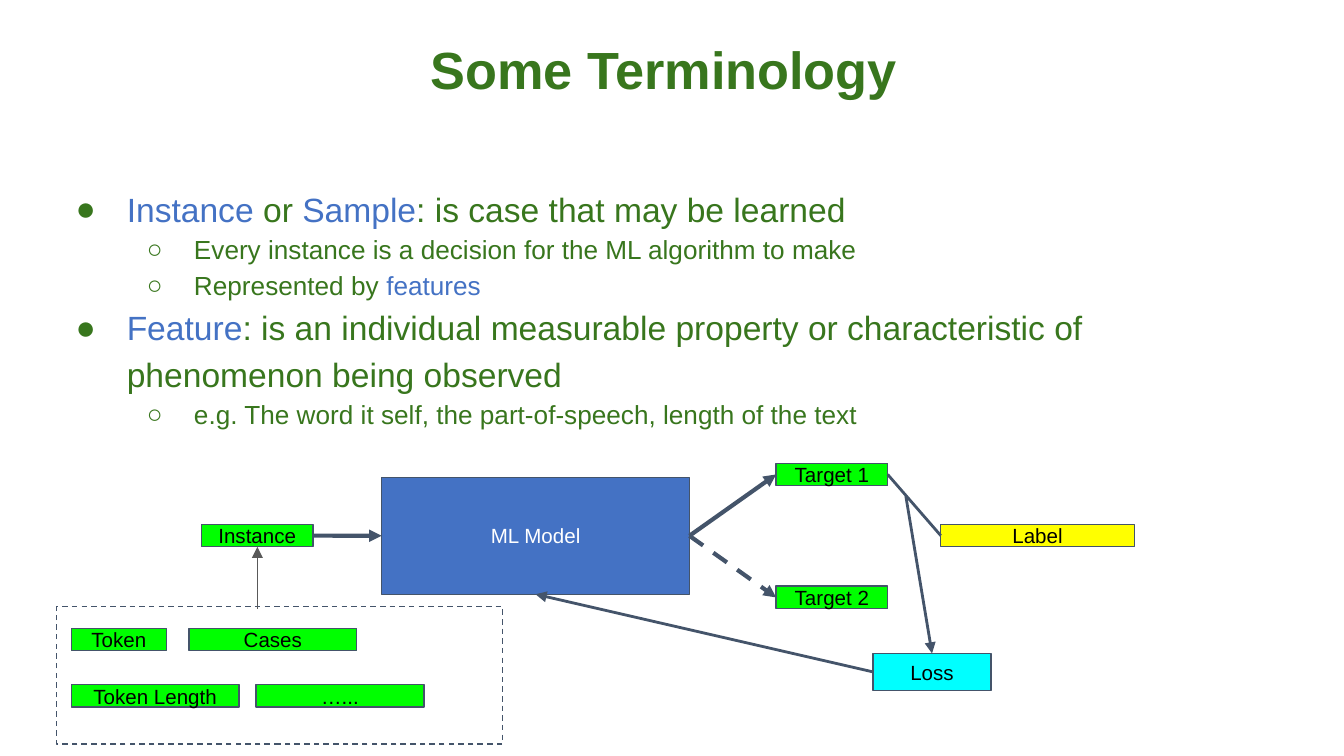
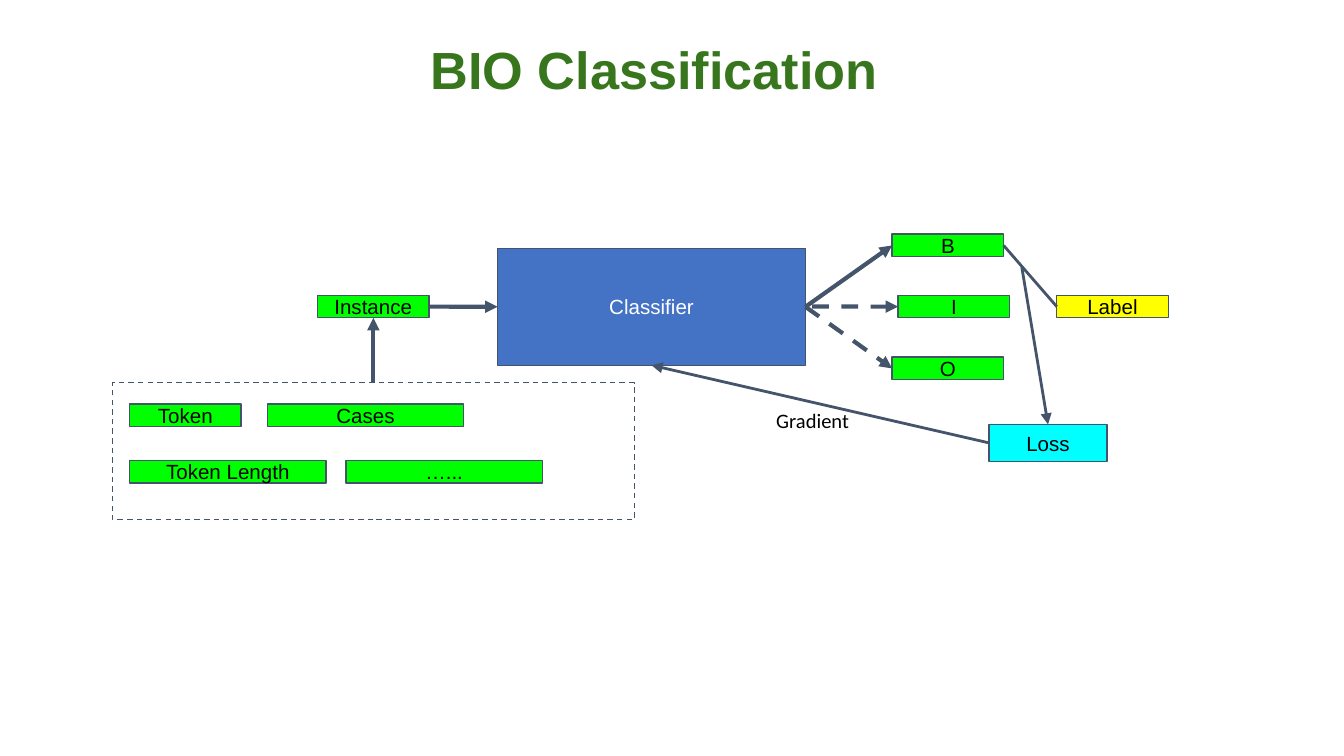
import lxml.etree
import pptx
import pptx.dml.color
import pptx.enum.dml
import pptx.enum.shapes
import pptx.enum.text
import pptx.oxml.ns
import pptx.util

COLORS = {
    "heading": "38761D", "term": "4472C4", "model": "4472C4", "edge": "44546A",
    "feature": "00FF00", "label": "FFFF00", "loss": "00FFFF",
    "arrow": "595959", "dark": "000000", "light": "FFFFFF",
}
COLUMNS = 100
BAR = 1.67
BULLETS = [("●", 18, 0.5, -0.38), ("○", 14, 1, -0.35)]
TERMS = [
    (0, [("Instance", "term"), (" or ", "heading"), ("Sample", "term"),
         (": is case that may be learned", "heading")]),
    (1, [("Every instance is a decision for the ML algorithm to make", "heading")]),
    (1, [("Represented by ", "heading"), ("features", "term")]),
    (0, [("Feature", "term"),
         (": is an individual measurable property or characteristic of "
          "phenomenon being observed", "heading")]),
    (1, [("e.g. The word it self, the part-of-speech, length of the text", "heading")]),
]
FEATURES = [("Token", 1.1, 1.6, 7.1), ("Cases", 9.85, 1.6, 12.5),
            ("Token Length", 1.1, 5.8, 12.5), ("…...", 14.85, 5.8, 12.5)]


def rgb(name):
    """Return the named colour."""
    return pptx.dml.color.RGBColor.from_string(COLORS[name])


class Deck:
    """Hold the shared style and draw on the current slide in grid cells."""

    def __init__(self):
        """Start an empty widescreen deck."""
        self.prs = pptx.Presentation()
        self.prs.slide_width = pptx.util.Inches(10)
        self.prs.slide_height = self.prs.slide_width * 9 // 16
        self.cell = self.prs.slide_width / COLUMNS
        self.origin = (0, 0)

    def spot(self, column, row):
        """Turn a grid place, counted from the origin, into lengths."""
        return (round((self.origin[0] + column) * self.cell),
                round((self.origin[1] + row) * self.cell))

    def size(self, *cells):
        """Turn numbers of cells into lengths."""
        return [round(count * self.cell) for count in cells]

    def style(self, run, size, color, font="Arial", bold=False):
        """Format one run."""
        run.font.name, run.font.size, run.font.bold = font, pptx.util.Pt(size), bold
        run.font.color.rgb = rgb(color)

    def frame(self, shape, inset, anchor):
        """Set the insets, wrapping and anchor of a shape's text."""
        text = shape.text_frame
        text.word_wrap = True
        text.auto_size = pptx.enum.text.MSO_AUTO_SIZE.NONE
        text.vertical_anchor = anchor
        text.margin_left = text.margin_right = pptx.util.Inches(inset)
        text.margin_top = text.margin_bottom = pptx.util.Inches(inset)
        return text

    def slide(self, heading):
        """Add a slide with its title."""
        current = self.prs.slides.add_slide(self.prs.slide_layouts[5])
        self.shapes, self.origin = current.shapes, (0, 0)
        title = self.shapes.title
        title.left, title.top = self.spot(31.05, 1.75)
        title.width, title.height = self.size(65.5, 6.3)
        text = self.frame(title, 0.1, pptx.enum.text.MSO_ANCHOR.TOP)
        text.text = heading
        text.paragraphs[0].alignment = pptx.enum.text.PP_ALIGN.LEFT
        self.style(text.paragraphs[0].runs[0], 28, "heading", bold=True)

    def textbox(self, column, row, width, height, inset):
        """Add a text box and return its text frame."""
        box = self.shapes.add_textbox(*self.spot(column, row), *self.size(width, height))
        return self.frame(box, inset, pptx.enum.text.MSO_ANCHOR.TOP)

    def note(self, words, *place):
        """Add a short caption."""
        text = self.textbox(*place, 0.07)
        text.text = words
        self.style(text.paragraphs[0].runs[0], 11, "dark", "Calibri")

    def bullets(self, items, *place):
        """Add a two-level bulleted list."""
        text = self.textbox(*place, 0.1)
        for index, (level, parts) in enumerate(items):
            paragraph = text.add_paragraph() if index else text.paragraphs[0]
            mark, size, margin, indent = BULLETS[level]
            paragraph.level, paragraph.line_spacing = level, 1.15
            for words, color in parts:
                run = paragraph.add_run()
                run.text = words
                self.style(run, size, color)
            qn = pptx.oxml.ns.qn
            props = paragraph._p.get_or_add_pPr()
            props.set("marL", str(pptx.util.Inches(margin)))
            props.set("indent", str(pptx.util.Inches(indent)))
            tint = lxml.etree.SubElement(props, qn("a:buClr"))
            lxml.etree.SubElement(tint, qn("a:srgbClr"), val=COLORS["heading"])
            lxml.etree.SubElement(props, qn("a:buFont"), typeface="Arial")
            lxml.etree.SubElement(props, qn("a:buChar"), char=mark)

    def box(self, words, column, row, width, height=BAR, fill="feature", ink="dark"):
        """Add a labelled rectangle, or a dashed outline without words."""
        shape = self.shapes.add_shape(
            pptx.enum.shapes.MSO_SHAPE.RECTANGLE,
            *self.spot(column, row), *self.size(width, height))
        shape.shadow.inherit = False
        shape.line.color.rgb, shape.line.width = rgb("edge"), pptx.util.Pt(0.75)
        if not words:
            shape.fill.background()
            shape.line.dash_style = pptx.enum.dml.MSO_LINE.DASH
            return shape
        shape.fill.solid()
        shape.fill.fore_color.rgb = rgb(fill)
        text = self.frame(shape, 0.07, pptx.enum.text.MSO_ANCHOR.MIDDLE)
        text.text = words
        text.paragraphs[0].alignment = pptx.enum.text.PP_ALIGN.CENTER
        self.style(text.paragraphs[0].runs[0], 11, ink)
        return shape

    def link(self, start, end, width=2.25, color="edge", dashed=False, arrow=True):
        """Join a grid place or (shape, side) to a (shape, side)."""
        free = isinstance(start[0], (int, float))
        begin = self.spot(*start) if free else (0, 0)
        line = self.shapes.add_connector(
            pptx.enum.shapes.MSO_CONNECTOR.STRAIGHT, *begin, *begin)
        if not free:
            line.begin_connect(*start)
        line.end_connect(*end)
        line.line.color.rgb, line.line.width = rgb(color), pptx.util.Pt(width)
        if dashed:
            line.line.dash_style = pptx.enum.dml.MSO_LINE.DASH
        qn = pptx.oxml.ns.qn
        props = line.element.spPr
        if arrow:
            lxml.etree.SubElement(props.find(qn("a:ln")), qn("a:tailEnd"), type="triangle")
        lxml.etree.SubElement(props, qn("a:effectLst"))

    def flow(self, origin, model_name, first, last, label_width):
        """Draw the training loop from the model's corner; return instance."""
        self.origin = origin
        model = self.box(model_name, 0, 0, 22.9, 8.7, "model", "light")
        instance = self.box("Instance", -13.4, 3.5, 8.3)
        best = self.box(first, 29.35, -1.05, 8.3)
        other = self.box(last, 29.35, 8.1, 8.3)
        label = self.box("Label", 41.6, 3.5, label_width, fill="label")
        loss = self.box("Loss", 36.55, 13.1, 8.8, 2.75, "loss")
        self.link((instance, 3), (model, 1))
        self.link((model, 3), (best, 1))
        self.link((model, 3), (other, 1), dashed=True)
        self.link((best, 3), (label, 1), 1.5, arrow=False)
        self.link((39, 1.4), (loss, 0), 1.5)
        self.link((loss, 1), (model, 2), 1.5)
        return instance

    def features(self, origin, stretch=1):
        """Draw the dashed group of features, widened by stretch."""
        self.origin = origin
        group = self.box("", 0, 0, 33.2 * stretch, 10.2)
        for words, column, row, width in FEATURES:
            self.box(words, column * stretch, row, width * stretch)
        self.origin = (0, 0)
        return group


def main():
    """Build both slides."""
    deck = Deck()

    deck.slide("Some Terminology")
    deck.bullets(TERMS, 3.45, 12.6, 93.2, 20.8)
    instance = deck.flow((28.4, 35.52), "ML Model", "Target 1", "Target 2", 14.4)
    deck.features((4.2, 45.15))
    deck.link((19.15, 45.3), (instance, 2), 0.75, "arrow")

    deck.slide("BIO Classification")
    instance = deck.flow((37.03, 18.48), "Classifier", "B", "O", 8.3)
    inside = deck.box("I", 29.8, 3.5, 8.3)
    deck.link((23.4, 4.33), (inside, 1), dashed=True)
    group = deck.features((8.36, 28.47), 1.17)
    deck.link((group, 0), (instance, 2))
    deck.note("Gradient", 57.05, 29.65, 9.1, 2.7)

    deck.prs.save("out.pptx")


if __name__ == "__main__":
    main()
